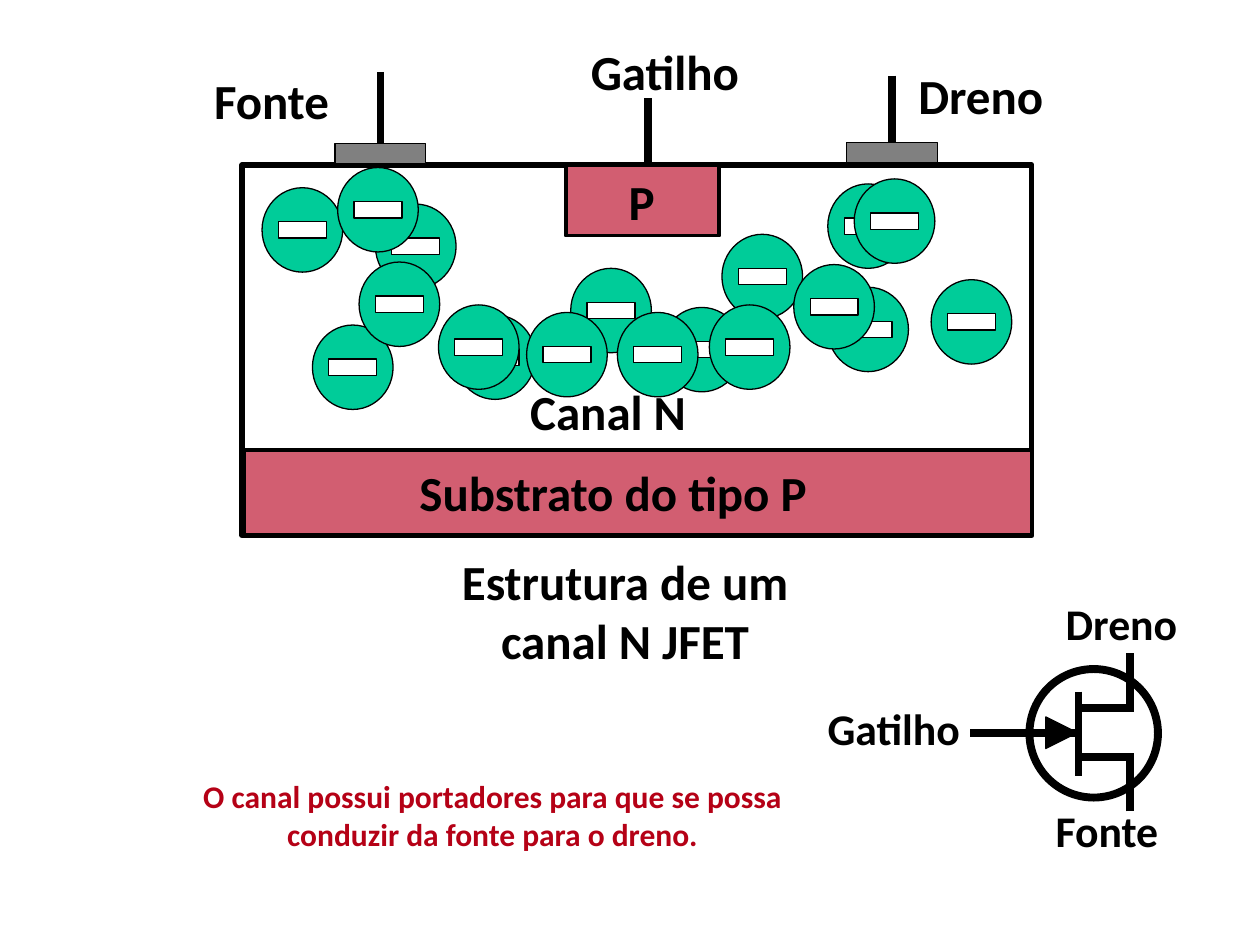
from pptx import Presentation
from pptx.dml.color import RGBColor
from pptx.enum.shapes import MSO_CONNECTOR, MSO_SHAPE
from pptx.enum.text import PP_ALIGN
from pptx.oxml.ns import qn
from pptx.util import Inches, Pt
from lxml import etree

RECT, OVAL, TRIANGLE = MSO_SHAPE.RECTANGLE, MSO_SHAPE.OVAL, MSO_SHAPE.ISOSCELES_TRIANGLE
STRAIGHT = MSO_CONNECTOR.STRAIGHT
LEFT, CENTER = PP_ALIGN.LEFT, PP_ALIGN.CENTER
BLACK = RGBColor(0x00, 0x00, 0x00)
WHITE = RGBColor(0xFF, 0xFF, 0xFF)
GRAY = RGBColor(0x80, 0x80, 0x80)
ROSE = RGBColor(0xD2, 0x5E, 0x71)
GREEN = RGBColor(0x00, 0xCC, 0x99)
RED = RGBColor(0xB5, 0x01, 0x16)

BLOCKS = [
    ((1.92, 1.31, 6.27, 2.94), None, 3),
    ((1.94, 3.57, 6.25, 0.68), ROSE, 2.25),
    ((4.49, 1.31, 1.22, 0.56), ROSE, 2.25),
]
CONTACTS = [((6.72, 1.13, 0.72, 0.16), 0.6), ((2.66, 1.14, 0.72, 0.16), 0.57)]
GATE_LEAD = (5.14, 1.3, 5.14, 0.78)

CARRIER_W, CARRIER_H = 0.64, 0.67
SIGN_W, SIGN_H = 0.38, 0.13
BACK_CARRIERS = [
    (5.25, 2.44), (3.61, 2.5), (6.57, 2.28), (2.48, 2.58), (7.39, 2.22),
    (2.08, 1.49), (5.73, 1.86), (4.53, 2.13), (2.98, 1.62), (6.57, 1.46),
]
FRONT_CARRIERS = [
    (2.68, 1.33), (2.85, 2.08), (3.48, 2.42), (4.18, 2.48),
    (4.9, 2.48), (5.63, 2.42), (6.3, 2.1), (6.78, 1.42),
]

SYMBOL_CIRCLE = (8.17, 5.31, 1.02, 1.02)
SYMBOL_ARROW = (8.3, 5.69, 0.25, 0.25)
SYMBOL_LINES = [
    (8.56, 5.49, 8.56, 6.16),
    (8.55, 5.82, 7.7, 5.82),
    (8.57, 5.62, 9, 5.62),
    (8.57, 6.01, 9, 6.01),
    (8.97, 6.44, 8.97, 6.01),
    (8.97, 5.61, 8.97, 5.18),
]
SYMBOL_LABELS = [
    (["Dreno"], (8.36, 4.69, 1.1, 0.52)),
    (["Fonte"], (8.28, 6.33, 1.03, 0.52)),
    (["Gatilho"], (6.47, 5.52, 1.26, 0.52)),
]
LABELS = [
    (["Dreno"], (7.19, 0.47, 1.2, 0.57)),
    (["Fonte"], (1.6, 0.51, 1.12, 0.57)),
    (["Gatilho"], (4.59, 0.28, 1.39, 0.57)),
    (["Substrato do tipo P"], (3.23, 3.62, 3.31, 0.57)),
    (["P"], (4.89, 1.31, 0.41, 0.57)),
    (["Canal N"], (4.11, 2.98, 1.46, 0.57)),
]
TITLE = (["Estrutura de um", "canal N JFET"], (3.55, 4.33, 2.82, 1.04))
CAPTION = (
    ["O canal possui portadores para que se possa", "conduzir da fonte para o dreno."],
    (1.4, 6.12, 5.02, 0.71),
)


def add_text(shapes, lines, box, size=28, color=BLACK, align=LEFT):
    tf = shapes.add_textbox(*map(Inches, box)).text_frame
    tf.word_wrap = False
    for i, line in enumerate(lines):
        p = tf.paragraphs[0] if i == 0 else tf.add_paragraph()
        p.alignment = align
        r = p.add_run()
        r.text = line
        r.font.name = "Calibri"
        r.font.size = Pt(size)
        r.font.bold = True
        r.font.color.rgb = color


def add_block(shapes, kind, box, fill=None, width=0.75):
    sp = shapes.add_shape(kind, *map(Inches, box))
    sp.shadow.inherit = False
    if fill is None:
        sp.fill.background()
    else:
        sp.fill.solid()
        sp.fill.fore_color.rgb = fill
    sp.line.color.rgb = BLACK
    sp.line.width = Pt(width)
    return sp


def add_line(shapes, ends):
    cx = shapes.add_connector(STRAIGHT, *map(Inches, ends))
    cx.line.color.rgb = BLACK
    cx.line.width = Pt(4.5)
    etree.SubElement(cx._element.spPr, qn("a:effectLst"))
    return cx


def add_carrier(shapes, x, y):
    group = shapes.add_group_shape().shapes
    add_block(group, OVAL, (x, y, CARRIER_W, CARRIER_H), GREEN)
    sign = (x + (CARRIER_W - SIGN_W) / 2, y + (CARRIER_H - SIGN_H) / 2, SIGN_W, SIGN_H)
    add_block(group, RECT, sign, WHITE)


def add_symbol(shapes):
    group = shapes.add_group_shape().shapes
    add_block(group, OVAL, SYMBOL_CIRCLE, width=4.5)
    for ends in SYMBOL_LINES:
        add_line(group, ends)
    add_block(group, TRIANGLE, SYMBOL_ARROW, BLACK).rotation = 90
    for lines, box in SYMBOL_LABELS:
        add_text(group, lines, box, size=25)


def main():
    prs = Presentation()
    prs.slide_width, prs.slide_height = Inches(10), Inches(7.5)
    shapes = prs.slides.add_slide(prs.slide_layouts[6]).shapes

    for box, fill, width in BLOCKS:
        add_block(shapes, RECT, box, fill, width)
    contacts = [add_block(shapes, RECT, box, GRAY) for box, _ in CONTACTS]
    for x, y in BACK_CARRIERS:
        add_carrier(shapes, x, y)
    for contact, ((x, y, w, _), top) in zip(contacts, CONTACTS):
        center = x + w / 2
        add_line(shapes, (center, top, center, y)).end_connect(contact, 0)
    add_line(shapes, GATE_LEAD)

    add_symbol(shapes)
    for lines, box in LABELS:
        add_text(shapes, lines, box)
    add_text(shapes, *TITLE, align=CENTER)
    add_text(shapes, *CAPTION, size=18, color=RED, align=CENTER)
    for x, y in FRONT_CARRIERS:
        add_carrier(shapes, x, y)

    prs.save("out.pptx")


if __name__ == "__main__":
    main()
